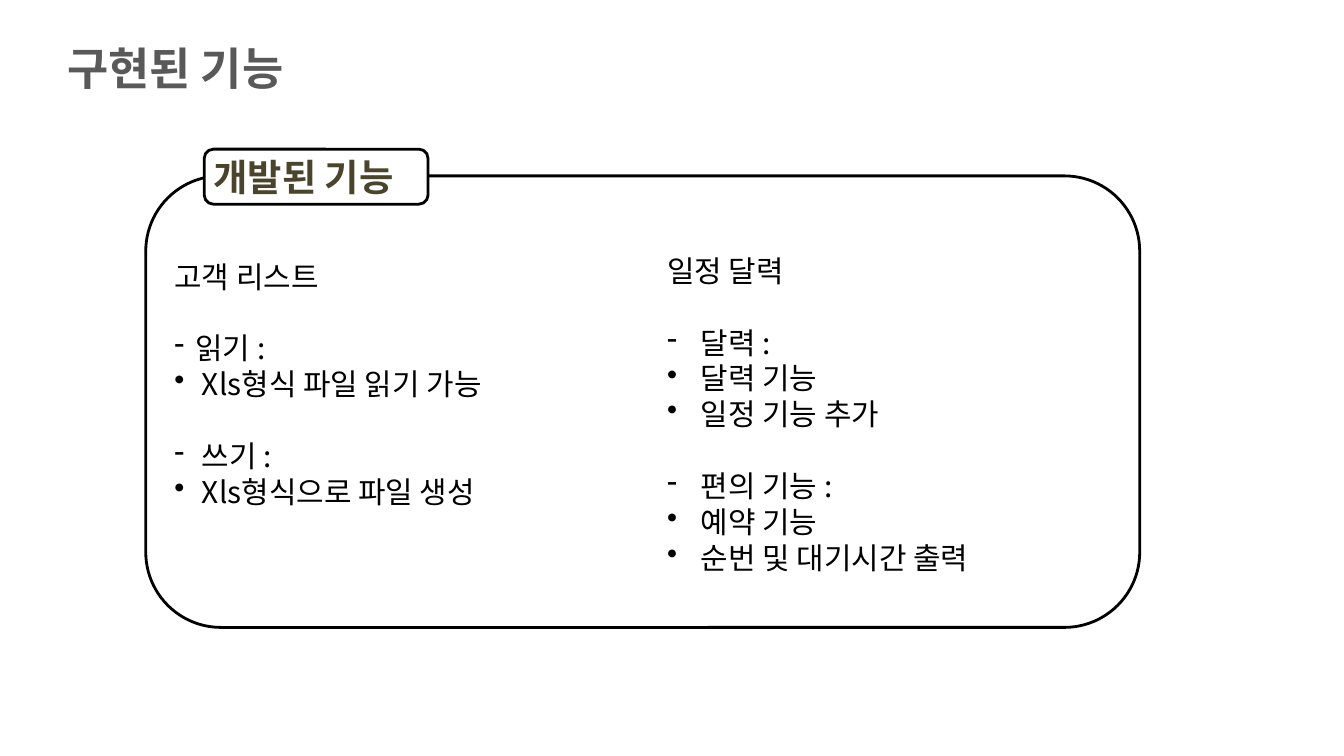
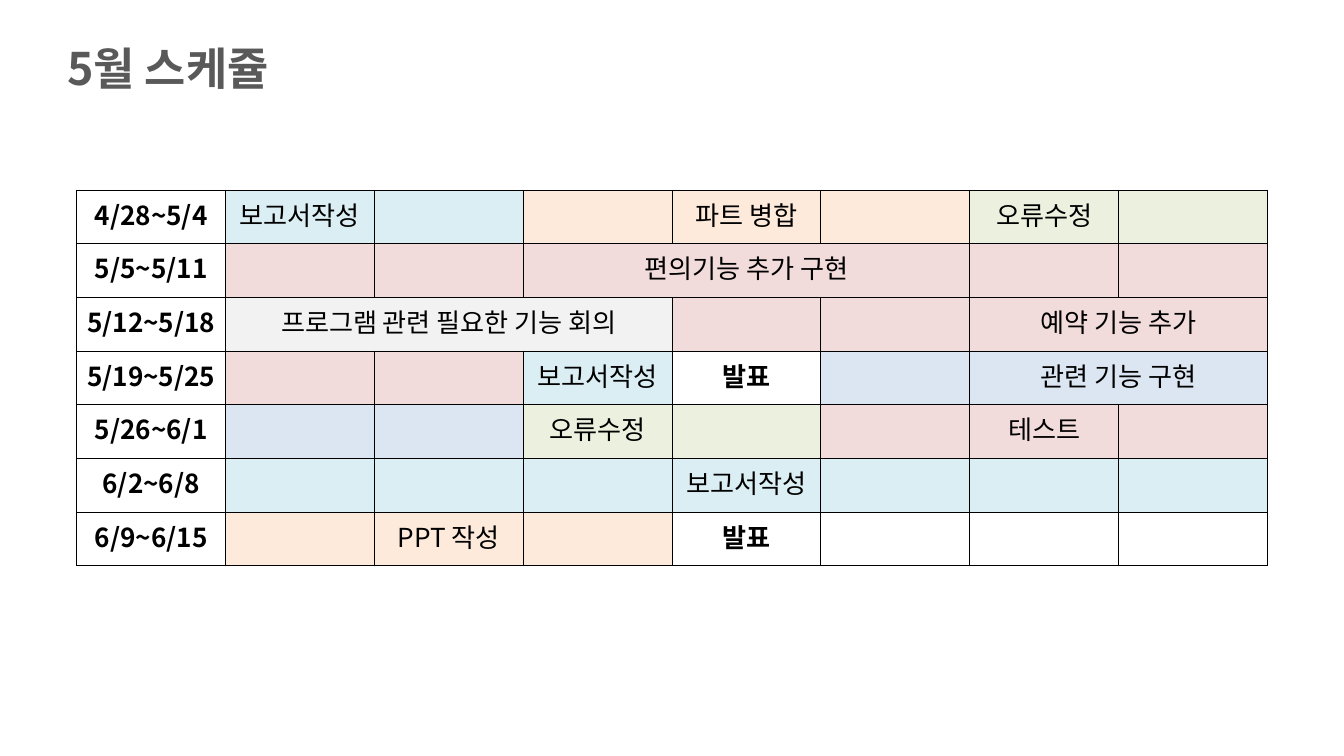
from pptx import Presentation
from pptx.dml.color import RGBColor as Rgb
from pptx.enum.shapes import MSO_SHAPE as Shape
from pptx.enum.text import MSO_ANCHOR as Anchor, MSO_AUTO_SIZE as Auto, PP_ALIGN as Align
from pptx.oxml import parse_xml
from pptx.oxml.ns import nsdecls
from pptx.util import Cm, Pt

FONT = "Noto Sans CJK KR"
BLACK, WHITE, GREY, OLIVE = "000000", "FFFFFF", "595959", "4A452A"
LEAD = 1.2
FILLS = {"W": WHITE, "A": "DBEEF4", "O": "FDEADA", "G": "EBF1DE",
         "P": "F2DCDB", "L": "F2F2F2", "B": "DCE6F2"}

CLIENTS = [("", "고객 리스트"), ("-", "읽기 :"), ("•", " Xls형식 파일 읽기 가능"),
           ("-", " 쓰기 :"), ("•", " Xls형식으로 파일 생성")]
DATES = [("", "일정 달력"), ("-", "달력 :"), ("•", "달력 기능"), ("•", "일정 기능 추가"),
         ("-", "편의 기능 :"), ("•", "예약 기능"), ("•", "순번 및 대기시간 출력")]
WEEKS = [
    ("4/28~5/4", "AAOOOGG", {1: ("보고서작성", 1), 4: ("파트 병합", 1), 6: ("오류수정", 1)}),
    ("5/5~5/11", "PPPPPPP", {3: ("편의기능 추가 구현", 3)}),
    ("5/12~5/18", "LLLPPPP", {1: ("프로그램 관련 필요한 기능 회의", 3), 6: ("예약 기능 추가", 2)}),
    ("5/19~5/25", "PPAWBBB", {3: ("보고서작성", 1), 4: ("발표", 1), 6: ("관련 기능 구현", 2)}),
    ("5/26~6/1", "BBGGPPP", {3: ("오류수정", 1), 6: ("테스트", 1)}),
    ("6/2~6/8", "AAAAAAA", {4: ("보고서작성", 1)}),
    ("6/9~6/15", "OOOWWWW", {2: ("PPT 작성", 1), 4: ("발표", 1)}),
]


def paint(fill, tone):
    """Give a fill a solid colour from a hex string."""
    fill.solid()
    fill.fore_color.rgb = Rgb.from_string(tone)


def write(para, text, size=32, tone=BLACK, bold=False, align=Align.LEFT, gap=0):
    """Put formatted text into a paragraph."""
    para.alignment = align
    para.line_spacing = Pt(size * LEAD)
    para.space_before = Pt(gap)
    run = para.add_run()
    run.text = text
    font = run.font
    font.name, font.size, font.bold = FONT, Pt(size), bold
    font.color.rgb = Rgb.from_string(tone)
    run._r.get_or_add_rPr().append(parse_xml(f'<a:ea {nsdecls("a")} typeface="{FONT}"/>'))


def mark(para, sign, indent):
    """Hang a bullet sign in front of a paragraph."""
    props = para._p.get_or_add_pPr()
    props.set("marL", str(indent))
    props.set("indent", str(-indent))
    props.append(parse_xml(f'<a:buChar {nsdecls("a")} char="{sign}"/>'))


def add_list(frame, items, indent, size=32):
    """Write a heading and its bullets, with a line of space before each dash."""
    for row, (sign, text) in enumerate(items):
        para = frame.add_paragraph() if row else frame.paragraphs[0]
        write(para, text, size=size, gap=size * LEAD if sign == "-" else 0)
        if sign:
            mark(para, sign, indent)


def add_text(slide, left, top, width, height, wrap=True):
    """Add a text box that grows with its text and return its frame."""
    frame = slide.shapes.add_textbox(Cm(left), Cm(top), Cm(width), Cm(height)).text_frame
    frame.word_wrap = wrap
    frame.auto_size = Auto.SHAPE_TO_FIT_TEXT
    return frame


def add_panel(slide, left, top, width, height):
    """Add a white rounded box with a black outline and return its frame."""
    box = slide.shapes.add_shape(Shape.ROUNDED_RECTANGLE, Cm(left), Cm(top), Cm(width), Cm(height))
    box.shadow.inherit = False
    paint(box.fill, WHITE)
    paint(box.line.fill, BLACK)
    box.line.width = Pt(3)
    frame = box.text_frame
    frame.word_wrap = True
    frame.vertical_anchor = Anchor.MIDDLE
    return frame


def add_page(deck, title, width):
    """Add a blank slide with its title."""
    slide = deck.slides.add_slide(deck.slide_layouts[6])
    frame = add_text(slide, 2.29, 1.42, width, 2.31, wrap=False)
    write(frame.paragraphs[0], title, size=48, tone=GREY, bold=True)
    return slide


def frame_cell(cell):
    """Draw thin black borders around a table cell."""
    props = cell._tc.get_or_add_tcPr()
    for side in "LRTB":
        props.append(parse_xml(
            f'<a:ln{side} {nsdecls("a")} w="{Pt(1)}"><a:solidFill>'
            f'<a:srgbClr val="{BLACK}"/></a:solidFill></a:ln{side}>'))


def add_plan(slide, weeks):
    """Add the table of weeks, with one coloured cell for each day."""
    table = slide.shapes.add_table(len(weeks), 8, Cm(2.9), Cm(7.19), Cm(45), Cm(14.2)).table
    table.first_row = table.horz_banding = False
    for row, (date, days, tasks) in enumerate(weeks):
        notes = {0: (date, 1), **tasks}
        for col, code in enumerate("W" + days):
            cell = table.cell(row, col)
            frame_cell(cell)
            paint(cell.fill, FILLS[code])
            cell.vertical_anchor = Anchor.MIDDLE
            if col in notes:
                text, span = notes[col]
                if span > 1:
                    cell.merge(table.cell(row, col + span - 1))
                write(cell.text_frame.paragraphs[0], text, size=28,
                      bold=code == "W", align=Align.CENTER)


def main():
    """Build both slides and save the deck."""
    deck = Presentation()
    deck.slide_width, deck.slide_height = Cm(50.8), Cm(28.58)

    slide = add_page(deck, "구현된 기능", 9.65)
    panel = add_panel(slide, 5.51, 6.65, 37.57, 17.07)
    panel.margin_bottom += Pt(32 * LEAD)
    add_list(panel, CLIENTS, Cm(0.79))
    label = add_panel(slide, 7.72, 5.64, 8.46, 2.08)
    write(label.paragraphs[0], "개발된 기능", size=40, tone=OLIVE, bold=True)
    add_list(add_text(slide, 24.97, 9.42, 16.71, 13.34), DATES, Cm(1.27))

    slide = add_page(deck, "5월 스케쥴", 8.94)
    add_plan(slide, WEEKS)

    deck.save("out.pptx")


if __name__ == "__main__":
    main()
